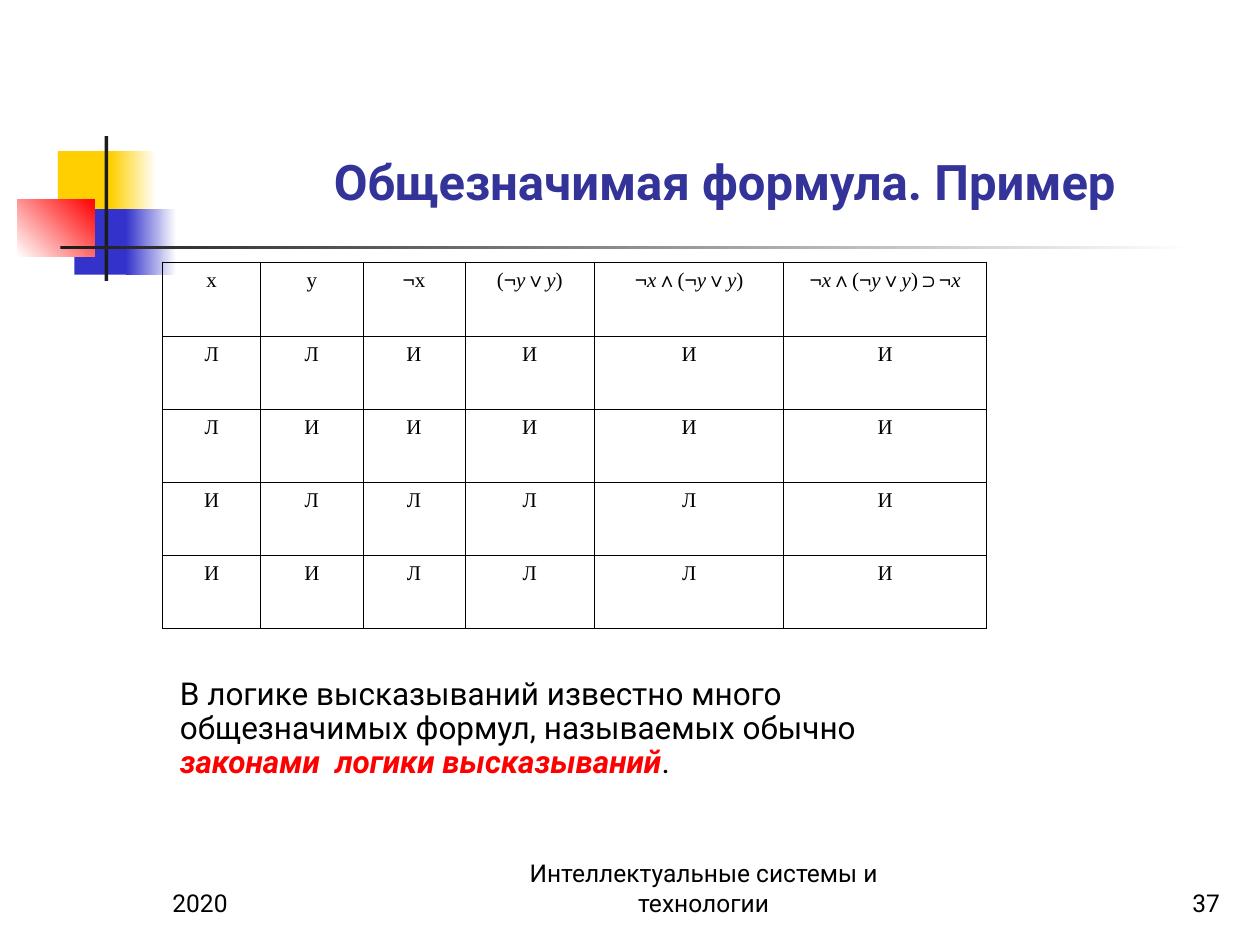
from itertools import groupby

from lxml.etree import SubElement
from pptx import Presentation
from pptx.dml.color import RGBColor
from pptx.enum.shapes import MSO_SHAPE
from pptx.enum.text import MSO_ANCHOR, PP_ALIGN
from pptx.oxml.ns import qn
from pptx.util import Inches, Pt

THEME = {
    "black": "000000", "white": "FFFFFF", "title": "333399", "accent": "FF0000",
    "yellow": "FFCF01", "blue": "3333CC", "bar": "1C1C1C",
    "body_font": "Roboto", "table_font": "Times New Roman", "symbol_font": "Arial",
    "title_size": 28, "note_size": 18, "footer_size": 14, "table_size": 12,
    "border": 0.45,
}

TITLE = "Общезначимая формула. Пример"
FORMULAS = ["x", "y", "¬x", "(¬y∨y)", "¬x∧(¬y∨y)", "¬x∧(¬y∨y)⊃¬x"]
TRUTH_VALUES = ["ЛЛИИИИ", "ЛИИИИИ", "ИЛЛЛЛИ", "ИИЛЛЛИ"]
SYMBOLS = "¬∨∧⊃"
NOTE = [
    ("В логике высказываний известно много общезначимых формул, называемых обычно ", False),
    ("законами  логики высказываний", True),
    (".", False),
]
FOOTERS = [  # text, left, width, alignment
    ("2020", 1.27, 2.08, PP_ALIGN.LEFT),
    ("Интеллектуальные системы и технологии", 4, 3.17, PP_ALIGN.CENTER),
    ("37", 7.7, 2.08, PP_ALIGN.RIGHT),
]
DECORATION = [  # left, top, width, height, colours from start to end, angle
    (0.46, 1.2, 0.48, 0.52, ["yellow"], 0),
    (0.88, 1.2, 0.36, 0.52, ["yellow", "white"], 0),
    (0.59, 1.66, 0.46, 0.52, ["blue"], 0),
    (1, 1.66, 0.4, 0.52, ["blue", "white"], 0),
    (0.14, 1.58, 0.61, 0.46, ["white", "accent"], 45),
    (0.83, 1.08, 0.03, 1.15, ["bar"], 0),
    (0.48, 1.95, 9, 0.03, ["bar", "white"], 0),
]
COLUMN_WIDTHS = [0.78, 0.81, 0.81, 1.03, 1.5, 1.61]
ROW_HEIGHTS = [0.59] + [0.58] * len(TRUTH_VALUES)


def color(name):
    return RGBColor.from_string(THEME[name])


def add_run(paragraph, text, size, font="body_font", ink="black", bold=False, italic=False):
    run = paragraph.add_run()
    run.text = text
    run.font.name = THEME[font]
    run.font.size = Pt(THEME[size])
    run.font.color.rgb = color(ink)
    run.font.bold = bold
    run.font.italic = italic


def add_text_area(slide, box, align=PP_ALIGN.LEFT, anchor=MSO_ANCHOR.BOTTOM):
    """Add a wrapping text box and return its first paragraph."""
    frame = slide.shapes.add_textbox(*map(Inches, box)).text_frame
    frame.word_wrap = True
    frame.vertical_anchor = anchor
    frame.paragraphs[0].alignment = align
    return frame.paragraphs[0]


def add_decoration(slide):
    for *box, colors, angle in DECORATION:
        block = slide.shapes.add_shape(MSO_SHAPE.RECTANGLE, *map(Inches, box))
        block.shadow.inherit = False
        block.line.fill.background()
        if len(colors) == 1:
            block.fill.solid()
            block.fill.fore_color.rgb = color(colors[0])
        else:
            block.fill.gradient()
            block.fill.gradient_angle = angle
            for stop, name in zip(block.fill.gradient_stops, colors):
                stop.color.rgb = color(name)


def draw_borders(cell):
    properties = cell._tc.get_or_add_tcPr()
    for index, side in enumerate(("lnL", "lnR", "lnT", "lnB")):
        line = properties.makeelement(qn(f"a:{side}"), {"w": str(Pt(THEME["border"]))})
        fill = SubElement(line, qn("a:solidFill"))
        SubElement(fill, qn("a:srgbClr"), val=THEME["black"])
        properties.insert(index, line)


def write_formula(paragraph, formula):
    """Set logic signs in the symbol font, and variables of compound formulas in italics."""
    def style(char):
        return char in SYMBOLS, char.isalpha() and "(" in formula

    for (is_symbol, italic), chars in groupby(formula, key=style):
        font = "symbol_font" if is_symbol else "table_font"
        add_run(paragraph, "".join(chars), "table_size", font, italic=italic)


def add_truth_table(slide):
    rows = [FORMULAS, *TRUTH_VALUES]
    table = slide.shapes.add_table(
        len(rows), len(FORMULAS), Inches(1.29), Inches(2.08),
        Inches(sum(COLUMN_WIDTHS)), Inches(sum(ROW_HEIGHTS))).table
    table.first_row = table.horz_banding = False
    for column, width in zip(table.columns, COLUMN_WIDTHS):
        column.width = Inches(width)
    for row, height, entries in zip(table.rows, ROW_HEIGHTS, rows):
        row.height = Inches(height)
        for cell, entry in zip(row.cells, entries):
            cell.fill.background()
            draw_borders(cell)
            paragraph = cell.text_frame.paragraphs[0]
            paragraph.alignment = PP_ALIGN.CENTER
            write_formula(paragraph, entry)


def main():
    presentation = Presentation()
    presentation.slide_width, presentation.slide_height = Inches(10), Inches(7.5)
    slide = presentation.slides.add_slide(presentation.slide_layouts[6])

    add_decoration(slide)
    title = add_text_area(slide, (1.49, 0.3, 8.52, 1.42), PP_ALIGN.CENTER)
    add_run(title, TITLE, "title_size", ink="title", bold=True)
    add_truth_table(slide)

    note = add_text_area(slide, (1.33, 5.33, 6.54, 0.91), anchor=MSO_ANCHOR.TOP)
    note.line_spacing = 0.9
    for text, key_term in NOTE:
        add_run(note, text, "note_size", ink="accent" if key_term else "black",
                bold=key_term, italic=key_term)

    for text, left, width, align in FOOTERS:
        footer = add_text_area(slide, (left, 6.83, width, 0.5), align)
        add_run(footer, text, "footer_size")

    presentation.save("out.pptx")


if __name__ == "__main__":
    main()
